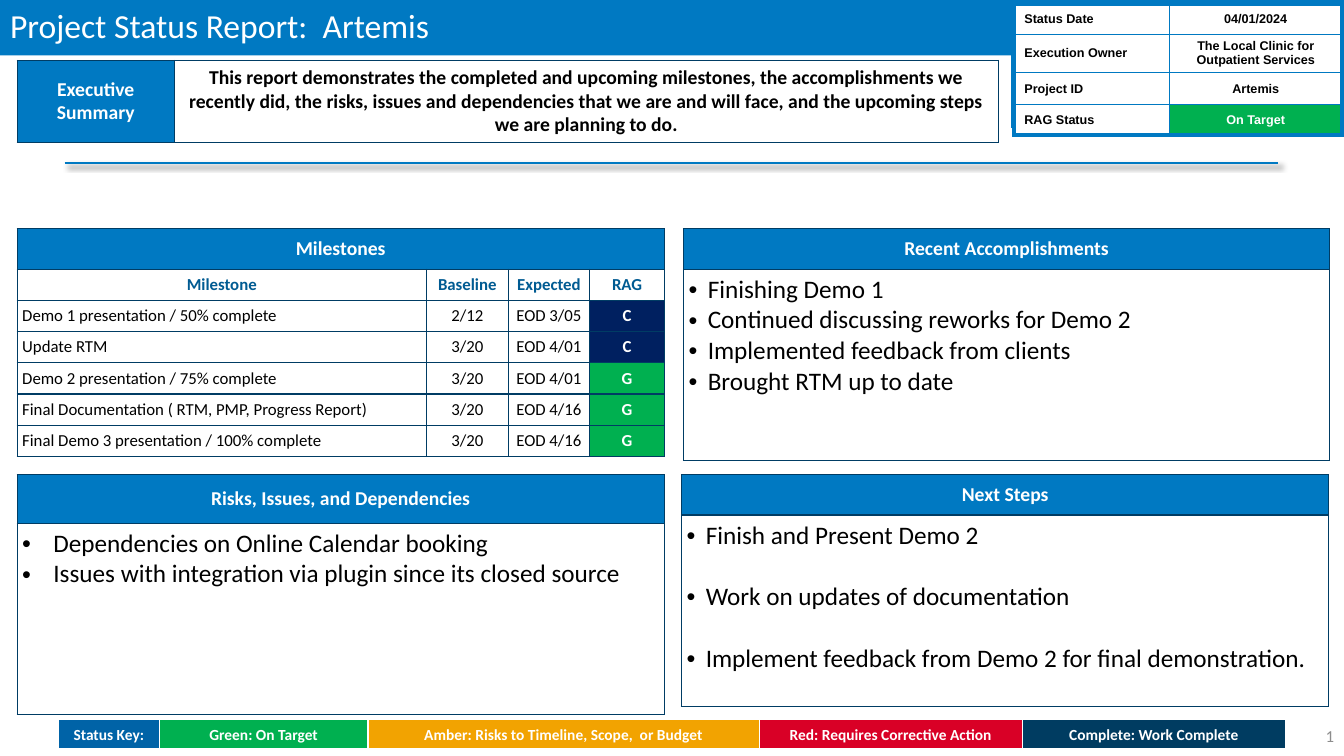
"""Build the project status report slide."""
from dataclasses import dataclass

from lxml.etree import SubElement
from pptx import Presentation
from pptx.dml.color import RGBColor
from pptx.enum.shapes import MSO_CONNECTOR, MSO_SHAPE
from pptx.enum.text import MSO_ANCHOR, MSO_AUTO_SIZE, PP_ALIGN
from pptx.oxml import parse_xml
from pptx.oxml.ns import nsdecls, qn
from pptx.util import Inches, Pt


@dataclass(frozen=True)
class Theme:
    blue: str = "0079C2"
    key_blue: str = "0063A7"
    column_blue: str = "005B92"
    outline: str = "003C64"
    navy: str = "002060"
    green: str = "00B050"
    amber: str = "F2A301"
    red: str = "D90026"
    complete: str = "003C61"
    white: str = "FFFFFF"
    black: str = "000000"
    gray: str = "8C8C8C"
    font: str = "Calibri"
    info_font: str = "Arial"
    title_size: int = 24
    list_size: int = 18
    heading_size: int = 14
    table_size: int = 12
    key_size: int = 11
    info_size: int = 9


theme = Theme()


def add_grid(left, top, widths, heights):
    frame = slide.shapes.add_table(
        len(heights), len(widths), Inches(left), Inches(top),
        Inches(sum(widths)), Inches(sum(heights)))
    table = frame.table
    table.first_row = table.horz_banding = False
    for column, width in zip(table.columns, widths):
        column.width = Inches(width)
    for row, height in zip(table.rows, heights):
        row.height = Inches(height)
    return table


def fill_cell(cell, text, size, color=theme.white, fill=theme.blue, bold=True,
              align=PP_ALIGN.CENTER, font=theme.font, inset=(0.05, 0.05),
              border=theme.outline, widths=(1, 1, 1, 1)):
    properties = cell._tc.get_or_add_tcPr()
    for side, width in zip("LRTB", widths):
        line = SubElement(properties, qn(f"a:ln{side}"), w=str(Pt(width)))
        solid = SubElement(line, qn("a:solidFill"))
        SubElement(solid, qn("a:srgbClr"), val=border)
    if fill:
        cell.fill.solid()
        cell.fill.fore_color.rgb = RGBColor.from_string(fill)
    else:
        cell.fill.background()
    cell.margin_left = cell.margin_right = Inches(inset[0])
    cell.margin_top = cell.margin_bottom = Inches(inset[1])
    cell.vertical_anchor = MSO_ANCHOR.MIDDLE
    cell.text_frame.text = text
    for paragraph in cell.text_frame.paragraphs:
        paragraph.alignment = align
        for run in paragraph.runs:
            run.font.name = font
            run.font.size = Pt(size)
            run.font.bold = bold
            run.font.color.rgb = RGBColor.from_string(color)


presentation = Presentation()
presentation.slide_width = Inches(13.33)
presentation.slide_height = Inches(7.5)
slide = presentation.slides.add_slide(presentation.slide_layouts[5])

for left, width, height in ((0, 13.33, 0.55), (10.03, 3.3, 1.27)):
    band = slide.shapes.add_shape(
        MSO_SHAPE.RECTANGLE, Inches(left), 0, Inches(width), Inches(height))
    band.shadow.inherit = False
    band.fill.solid()
    band.fill.fore_color.rgb = RGBColor.from_string(theme.blue)
    band.line.fill.background()

divider = slide.shapes.add_connector(
    MSO_CONNECTOR.STRAIGHT, Inches(0.64), Inches(1.62), Inches(12.68), Inches(1.62))
divider.line.color.rgb = RGBColor.from_string(theme.blue)
divider.line.width = Pt(1.5)
divider.element.spPr.append(parse_xml(
    f'<a:effectLst {nsdecls("a")}><a:outerShdw blurRad="{Pt(4)}" dist="{Pt(3)}" '
    f'dir="2700000" algn="tl" rotWithShape="0"><a:srgbClr val="{theme.black}">'
    '<a:alpha val="40000"/></a:srgbClr></a:outerShdw></a:effectLst>'))

title = slide.shapes.title
divider.element.addnext(title.element)
title.left, title.top = 0, 0
title.width, title.height = Inches(11.96), Inches(0.55)
title.text_frame.text = "Project Status Report:  Artemis"
title.text_frame.auto_size = MSO_AUTO_SIZE.NONE
title.text_frame.vertical_anchor = MSO_ANCHOR.MIDDLE
heading = title.text_frame.paragraphs[0]
heading.alignment = PP_ALIGN.LEFT
heading.line_spacing = 0.9
heading.runs[0].font.name = theme.font
heading.runs[0].font.size = Pt(theme.title_size)
heading.runs[0].font.color.rgb = RGBColor.from_string(theme.white)

page_number = slide.shapes.add_textbox(
    Inches(10.33), Inches(7.1), Inches(3), Inches(0.4))
page_number.text_frame.word_wrap = True
page_number.text_frame.vertical_anchor = MSO_ANCHOR.MIDDLE
number = page_number.text_frame.paragraphs[0]
number.text = "1"
number.alignment = PP_ALIGN.RIGHT
number.runs[0].font.name = theme.font
number.runs[0].font.size = Pt(theme.table_size)
number.runs[0].font.color.rgb = RGBColor.from_string(theme.gray)

summary = add_grid(0.17, 0.6, (1.56, 8.17), (0.81,))
fill_cell(summary.cell(0, 0), "Executive Summary", theme.heading_size)
fill_cell(
    summary.cell(0, 1),
    "This report demonstrates the completed and upcoming milestones, the "
    "accomplishments we recently did, the risks, issues and dependencies that we "
    "are and will face, and the upcoming steps we are planning to do.",
    theme.heading_size, theme.black, None)

panels = (
    ("Recent Accomplishments", 6.78, 2.27, 6.41, 0.4, 0.19, 0,
     ("Finishing Demo 1", "Continued discussing reworks for Demo 2",
      "Implemented feedback from clients", "Brought RTM up to date")),
    ("Next Steps", 6.76, 4.71, 6.42, 0.4, 0.19, 22,
     ("Finish and Present Demo 2", "Work on updates of documentation",
      "Implement feedback from Demo 2 for final demonstration.")),
    ("Risks, Issues, and Dependencies", 0.17, 4.71, 6.42, 0.48, 0.31, 0,
     ("Dependencies on Online Calendar booking",
      "Issues with integration via plugin since its closed source")),
)
for name, left, top, width, header_height, indent, gap, items in panels:
    panel = add_grid(left, top, (width,), (header_height, 1.9))
    fill_cell(panel.cell(0, 0), name, theme.heading_size)
    body = panel.cell(1, 0)
    fill_cell(body, "\n".join(items), theme.list_size, theme.black, theme.white,
              bold=False, align=PP_ALIGN.LEFT)
    body.vertical_anchor = MSO_ANCHOR.TOP
    for position, paragraph in enumerate(body.text_frame.paragraphs):
        paragraph.space_before = Pt(gap if position else 0)
        properties = paragraph._p.get_or_add_pPr()
        properties.set("marL", str(Inches(indent)))
        properties.set("indent", str(-Inches(indent)))
        SubElement(properties, qn("a:buFont"), typeface=theme.info_font)
        SubElement(properties, qn("a:buChar"), char="•")

milestones = (
    ("Milestone", "Baseline", "Expected", "RAG"),
    ("Demo 1 presentation / 50% complete", "2/12", "EOD 3/05", "C"),
    ("Update RTM", "3/20", "EOD 4/01", "C"),
    ("Demo 2 presentation / 75% complete", "3/20", "EOD 4/01", "G"),
    ("Final Documentation ( RTM, PMP, Progress Report)", "3/20", "EOD 4/16", "G"),
    ("Final Demo 3 presentation / 100% complete", "3/20", "EOD 4/16", "G"),
)
rag_fills = {"C": theme.navy, "G": theme.green}
schedule = add_grid(0.17, 2.27, (4.06, 0.81, 0.81, 0.74), (0.4,) + (0.31,) * 6)
schedule.cell(0, 0).merge(schedule.cell(0, 3))
for column, text in enumerate(("Milestones", "", "", "")):
    fill_cell(schedule.cell(0, column), text, theme.heading_size)
for row, values in enumerate(milestones, start=1):
    for column, text in enumerate(values):
        is_header, is_rag = row == 1, text in rag_fills
        color = theme.column_blue if is_header else theme.white if is_rag else theme.black
        align = PP_ALIGN.CENTER if is_header or column else PP_ALIGN.LEFT
        fill_cell(schedule.cell(row, column), text, theme.table_size, color,
                  rag_fills.get(text, theme.white), is_header or is_rag, align)

status_key = (
    ("Status Key:", 1, theme.key_blue),
    ("Green: On Target", 2.07, theme.green),
    ("Amber: Risks to Timeline, Scope,  or Budget", 3.88, theme.amber),
    ("Red: Requires Corrective Action", 2.61, theme.red),
    ("Complete: Work Complete", 2.61, theme.complete),
)
key = add_grid(0.58, 7.14, [width for _, width, _ in status_key], (0.3,))
for column, (text, _, fill) in enumerate(status_key):
    fill_cell(key.cell(0, column), text, theme.key_size, fill=fill,
              inset=(0.1, 0.05), border=theme.white, widths=(1, 1, 1, 3))

project_info = (
    ("Status Date", "04/01/2024"),
    ("Execution Owner", "The Local Clinic for Outpatient Services"),
    ("Project ID", "Artemis"),
    ("RAG Status", "On Target"),
)
info = add_grid(10.06, 0.04, (1.54, 1.71), (0.3, 0.36, 0.32, 0.3))
for row, (label, value) in enumerate(project_info):
    top, bottom = 3 if row == 0 else 1, 3 if row == 3 else 1
    fill_cell(info.cell(row, 0), label, theme.info_size, theme.black, theme.white,
              align=PP_ALIGN.LEFT, font=theme.info_font, inset=(0.1, 0.05),
              border=theme.blue, widths=(3, 1, top, bottom))
    color, fill = ((theme.white, theme.green) if value == "On Target"
                   else (theme.black, theme.white))
    fill_cell(info.cell(row, 1), value, theme.info_size, color, fill,
              font=theme.info_font, inset=(0.04, 0.04), border=theme.blue,
              widths=(1, 3, top, bottom))

presentation.save("out.pptx")
